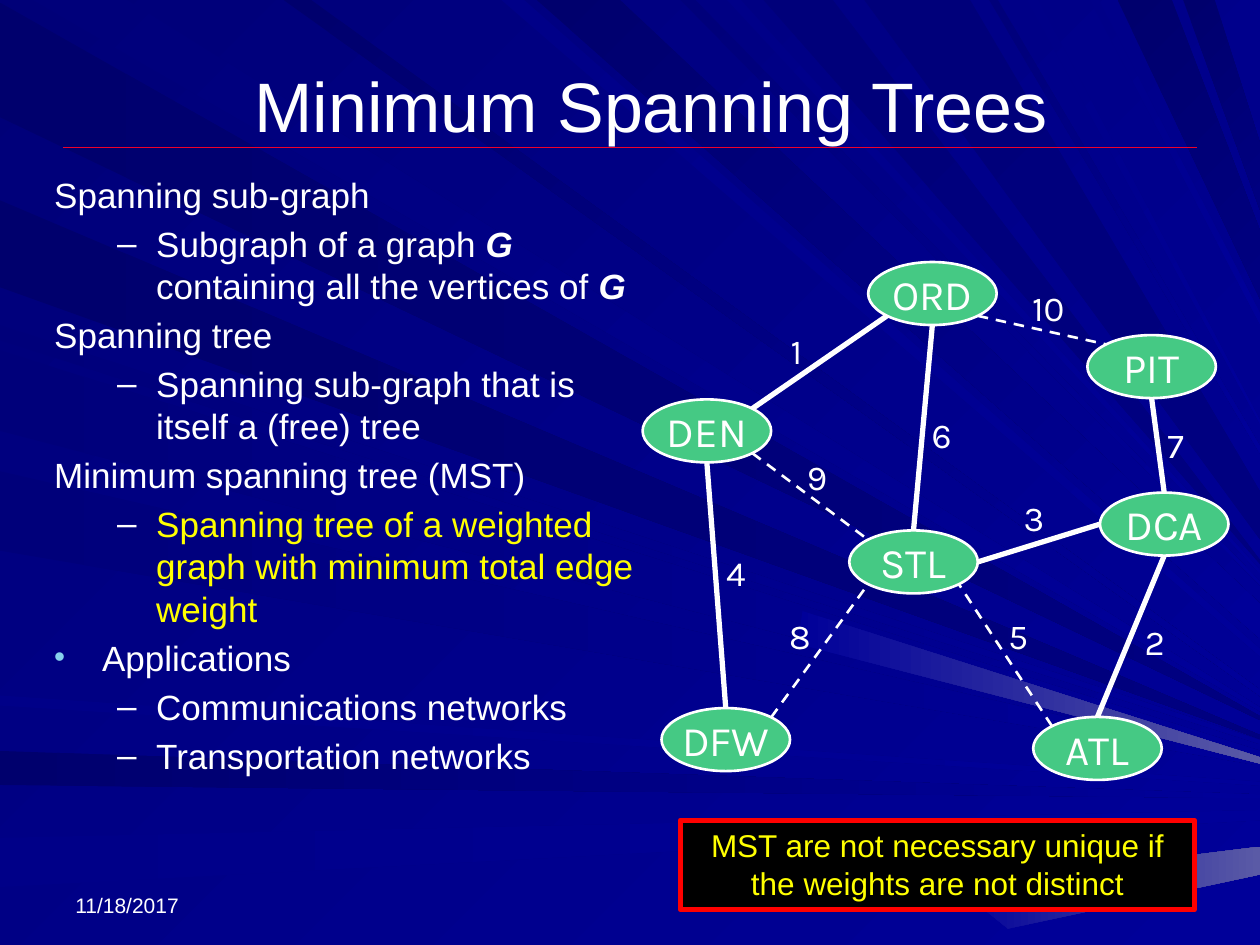
from dataclasses import dataclass
from math import cos, radians, sin

from lxml.etree import SubElement
from pptx import Presentation
from pptx.dml.color import RGBColor as Rgb
from pptx.enum.dml import MSO_LINE_DASH_STYLE as Dash
from pptx.enum.shapes import MSO_CONNECTOR as Connector, MSO_SHAPE as Shape
from pptx.enum.text import MSO_ANCHOR as Anchor, MSO_AUTO_SIZE as AutoSize, PP_ALIGN as Align
from pptx.oxml.ns import qn
from pptx.util import Inches, Pt


@dataclass(frozen=True)
class Theme:
    sans: str = "Arial"
    node_font: str = "Karla"
    text: str = "FFFFFF"
    accent: str = "FFFF00"
    node: str = "45C984"
    rule: str = "EF0129"
    bullet: str = "86D1EC"
    note_fill: str = "000000"
    note_line: str = "FF0000"
    backdrop: str = "000078"
    deep: str = "00006D"
    middle: str = "00007A"
    soft: str = "000088"
    navy: str = "000080"
    bright: str = "000099"
    glow: str = "5A5AA6"
    title_size: int = 40
    node_size: int = 24
    body_size: int = 20
    note_size: int = 18
    date_size: int = 12


@dataclass(frozen=True)
class Box:
    left: float
    top: float
    width: float
    height: float

    def point(self, column, row):
        return Inches(self.left + column), Inches(self.top + row)

    def centred(self, column, row, width, height):
        return Box(self.left + column - width / 2, self.top + row - height / 2, width, height)

    def frame(self):
        return [Inches(side) for side in (self.left, self.top, self.width, self.height)]


@dataclass(frozen=True)
class Ray:
    start: float
    end: float
    tip: float
    shade: str
    light: str
    spread: float = 0.03


THEME = Theme()
COLUMNS, ROWS = 10, 7.5
PAGE = Box(0, 0, COLUMNS, ROWS)
DEEP, MIDDLE, SOFT, NAVY, BRIGHT = THEME.deep, THEME.middle, THEME.soft, THEME.navy, THEME.bright
LEFT_RAYS = [
    Ray(0.02, 0.93, 5.7, DEEP, NAVY),
    Ray(5.96, 6.23, 6.32, DEEP, BRIGHT),
    Ray(6.65, 7.04, 6.47, SOFT, BRIGHT, 0.08),
    Ray(2.58, 2.7, 5.89, MIDDLE, BRIGHT),
    Ray(1.59, 2.28, 5.85, DEEP, NAVY),
    Ray(2.78, 3.42, 5.99, MIDDLE, BRIGHT, 0.06),
    Ray(3.74, 4.37, 6.06, MIDDLE, BRIGHT),
    Ray(5.52, 5.6, 6.22, SOFT, BRIGHT),
]
TOP_RAYS = [
    Ray(0.26, 1.01, 5.63, MIDDLE, BRIGHT),
    Ray(3.98, 4.16, 5.18, SOFT, BRIGHT, 0.06),
    Ray(4.26, 4.92, 4.93, DEEP, BRIGHT, 0.28),
    Ray(5.4, 5.52, 4.63, MIDDLE, BRIGHT),
    Ray(6.06, 6.61, 4.46, MIDDLE, NAVY),
    Ray(8.87, 9.3, 2.1, DEEP, NAVY, 0.54),
    Ray(9.39, 9.64, 1.4, DEEP, NAVY, 0.53),
    Ray(2.25, 2.47, 5.5, DEEP, BRIGHT, 0.05),
    Ray(5.77, 5.88, 4.54, SOFT, BRIGHT),
    Ray(6.86, 7.7, 4.09, MIDDLE, NAVY, 0.38),
    Ray(7.85, 7.92, 3.57, MIDDLE, BRIGHT, 0.06),
    Ray(8.15, 8.24, 3.35, SOFT, BRIGHT),
    Ray(8.65, 8.72, 2.53, SOFT, BRIGHT, 0.09),
]
GLOWS = [
    [(10, 6.94), (10, 6.72), (7.56, 7.02), (8, 7.37)],
    [(10, 6.01), (6.37, 4.85), (6.33, 5.11), (10, 6.06)],
]
POINTS = [
    (0, None, "Spanning sub-graph", THEME.text),
    (1, "–", "Subgraph of a graph *G* containing all the vertices of *G*", THEME.text),
    (0, None, "Spanning tree", THEME.text),
    (1, "–", "Spanning sub-graph that is itself a (free) tree", THEME.text),
    (0, None, "Minimum spanning tree (MST)", THEME.text),
    (1, "–", "Spanning tree of a weighted graph with minimum total edge weight", THEME.accent),
    (0, "•", "Applications", THEME.text),
    (1, "–", "Communications networks", THEME.text),
    (1, "–", "Transportation networks", THEME.text),
]
INDENTS = [(0.38, -0.38), (0.81, -0.31)]
NODE_WIDTH, NODE_HEIGHT = 1.02, 0.5
NODES = {
    "ORD": (2.3, 0.25), "PIT": (4.04, 0.83), "ATL": (3.61, 3.86), "STL": (2.15, 2.38),
    "DEN": (0.51, 1.34), "DFW": (0.66, 3.79), "DCA": (4.14, 2.08),
}
SIDES = ["E", "SE", "S", "SW", "W", "NW", "N", "NE"]
TREE_EDGES = [
    ("DEN", "NE", "ORD", "SW", "1", (1.22, 0.7)),
    ("STL", "N", "ORD", "S", "6", (2.37, 1.37)),
    ("STL", "E", "DCA", "W", "3", (3.1, 2.03)),
    ("DCA", "N", "PIT", "S", "7", (4.23, 1.45)),
    ("DEN", "S", "DFW", "N", "4", (0.74, 2.46)),
    ("DCA", "S", "ATL", "N", "2", (4.06, 3.01)),
]
OTHER_EDGES = [
    ("ORD", "SE", "PIT", "NW", "10", (3.22, 0.36)),
    ("ATL", "NW", "STL", "SE", "5", (2.98, 2.96)),
    ("DFW", "NE", "STL", "SW", "8", (1.24, 2.96)),
    ("DEN", "SE", "STL", "NW", "9", (1.38, 1.7)),
]


def write(para, text, size, font=THEME.sans, color=THEME.text, align=None):
    para.alignment = align
    for index, part in enumerate(text.split("*")):
        if part:
            span = para.add_run()
            span.text = part
            span.font.name, span.font.size = font, Pt(size)
            span.font.color.rgb = Rgb.from_string(color)
            if index % 2:
                span.font.bold = span.font.italic = True


def paint(fill, start, end, angle):
    fill.gradient()
    fill.gradient_angle = -angle % 360
    for stop, color in zip(fill.gradient_stops, (start, end)):
        stop.color.rgb = Rgb.from_string(color)


def add_line(page, start, end, color, width, dash=None):
    line = page.shapes.add_connector(Connector.STRAIGHT, *start, *end)
    line.line.color.rgb = Rgb.from_string(color)
    line.line.width = Pt(width)
    if dash:
        line.line.dash_style = dash
    SubElement(line._element.spPr, qn("a:effectLst"))


def add_panel(page, box, kind, fill, line, width):
    panel = page.shapes.add_shape(kind, *box.frame())
    panel.shadow.inherit = False
    panel.fill.solid()
    panel.fill.fore_color.rgb = Rgb.from_string(fill)
    panel.line.color.rgb = Rgb.from_string(line)
    panel.line.width = Pt(width)
    return panel.text_frame


def fit_placeholder(holder, box):
    holder.left, holder.top, holder.width, holder.height = box.frame()
    holder.text_frame.auto_size = AutoSize.NONE
    holder._element.getparent().append(holder._element)
    return holder.text_frame


def add_beam(page, box, corners, start, end, angle):
    outline = [box.point(*corner) for corner in corners]
    builder = page.shapes.build_freeform(*outline[0])
    builder.add_line_segments(outline[1:], close=True)
    beam = builder.convert_to_shape()
    beam.shadow.inherit = False
    beam.line.fill.background()
    paint(beam.fill, start, end, angle)


def draw_backdrop(page, box):
    paint(page.background.fill, THEME.backdrop, BRIGHT, 45)
    for rays, angle in ((LEFT_RAYS, 0), (TOP_RAYS, 45)):
        for ray in rays:
            high, low = ray.tip - ray.spread / 2, ray.tip + ray.spread / 2
            if rays is LEFT_RAYS:
                base = [(0, ray.end), (0, ray.start)]
            else:
                base = [(ray.start, 0), (ray.end, 0)]
            add_beam(page, box, base + [(box.width, high), (box.width, low)], ray.shade, ray.light, angle)
    for corners in GLOWS:
        add_beam(page, box, corners, BRIGHT, THEME.glow, 0)
    add_line(page, box.point(0.5, 1.17), box.point(9.5, 1.17), THEME.rule, 0.75)


def draw_title(page, box):
    frame = fit_placeholder(page.shapes.title, box)
    frame.vertical_anchor = Anchor.MIDDLE
    write(frame.paragraphs[0], "Minimum Spanning Trees", THEME.title_size, align=Align.CENTER)


def draw_points(page, box):
    frame = fit_placeholder(page.placeholders[1], box)
    for index, (level, mark, text, color) in enumerate(POINTS):
        para = frame.add_paragraph() if index else frame.paragraphs[0]
        para.level = level
        write(para, text, THEME.body_size, color=color)
        margin, indent = INDENTS[level]
        props = para._p.get_or_add_pPr()
        props.set("marL", str(Inches(margin)))
        props.set("indent", str(Inches(indent)))
        if mark is None:
            SubElement(props, qn("a:buNone"))
            continue
        tint = THEME.text if level else THEME.bullet
        SubElement(SubElement(props, qn("a:buClr")), qn("a:srgbClr"), val=tint)
        SubElement(props, qn("a:buSzPct"), val="100000" if level else "90000")
        SubElement(props, qn("a:buFont"), typeface=THEME.sans)
        SubElement(props, qn("a:buChar"), char=mark)


def node_port(box, name, side):
    column, row = NODES[name]
    angle = radians(45 * SIDES.index(side))
    return box.point(column + cos(angle) * NODE_WIDTH / 2, row + sin(angle) * NODE_HEIGHT / 2)


def draw_graph(page, box):
    label = {"font": THEME.node_font, "align": Align.CENTER}
    for name, centre in NODES.items():
        place = box.centred(*centre, NODE_WIDTH, NODE_HEIGHT)
        frame = add_panel(page, place, Shape.OVAL, THEME.node, THEME.text, 1.5)
        frame.word_wrap, frame.vertical_anchor = False, Anchor.MIDDLE
        write(frame.paragraphs[0], name, THEME.node_size, **label)
    for edges, width, dash in ((TREE_EDGES, 3, None), (OTHER_EDGES, 1.5, Dash.DASH)):
        for first, leave, second, enter, weight, centre in edges:
            add_line(page, node_port(box, first, leave), node_port(box, second, enter), THEME.text, width, dash)
            place = box.centred(*centre, 0.2 + 0.15 * len(weight), 0.43)
            frame = page.shapes.add_textbox(*place.frame()).text_frame
            frame.word_wrap = False
            write(frame.paragraphs[0], weight, THEME.body_size, **label)


def draw_note(page, box):
    frame = add_panel(page, box, Shape.RECTANGLE, THEME.note_fill, THEME.note_line, 3)
    frame.word_wrap, frame.vertical_anchor = True, Anchor.TOP
    text = "MST are not necessary unique if the weights are not distinct"
    write(frame.paragraphs[0], text, THEME.note_size, color=THEME.accent, align=Align.CENTER)


def draw_date(page, box):
    frame = page.shapes.add_textbox(*box.frame()).text_frame
    frame.word_wrap, frame.vertical_anchor = True, Anchor.BOTTOM
    write(frame.paragraphs[0], "11/18/2017", THEME.date_size)


def main():
    deck = Presentation()
    deck.slide_width, deck.slide_height = Inches(COLUMNS), Inches(ROWS)
    page = deck.slides.add_slide(deck.slide_layouts[1])
    draw_backdrop(page, PAGE)
    draw_date(page, Box(0.5, 6.83, 2.33, 0.5))
    draw_title(page, Box(0.67, 0.33, 8.99, 1))
    draw_points(page, Box(0.33, 1.33, 4.93, 5.42))
    draw_graph(page, Box(5.1, 2.08, 4.65, 4.11))
    draw_note(page, Box(5.4, 6.51, 4.08, 0.71))
    deck.save("out.pptx")


if __name__ == "__main__":
    main()
